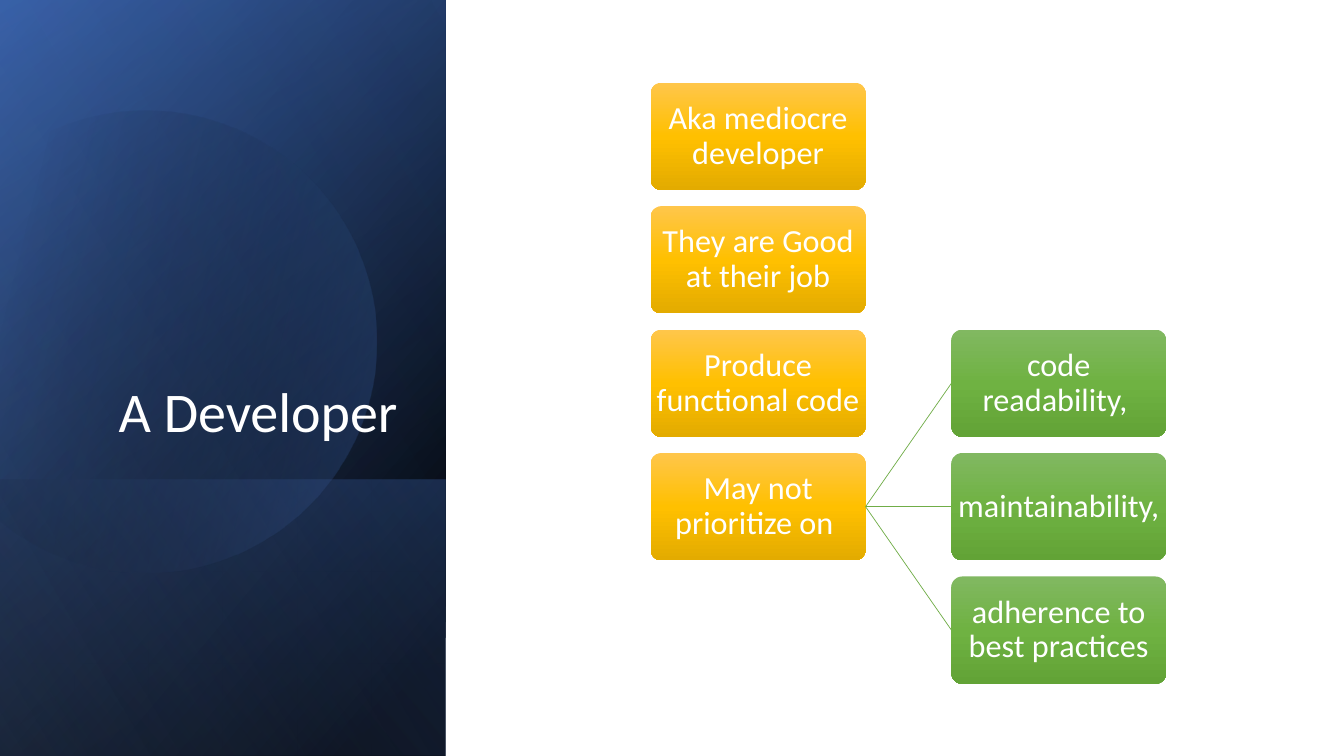
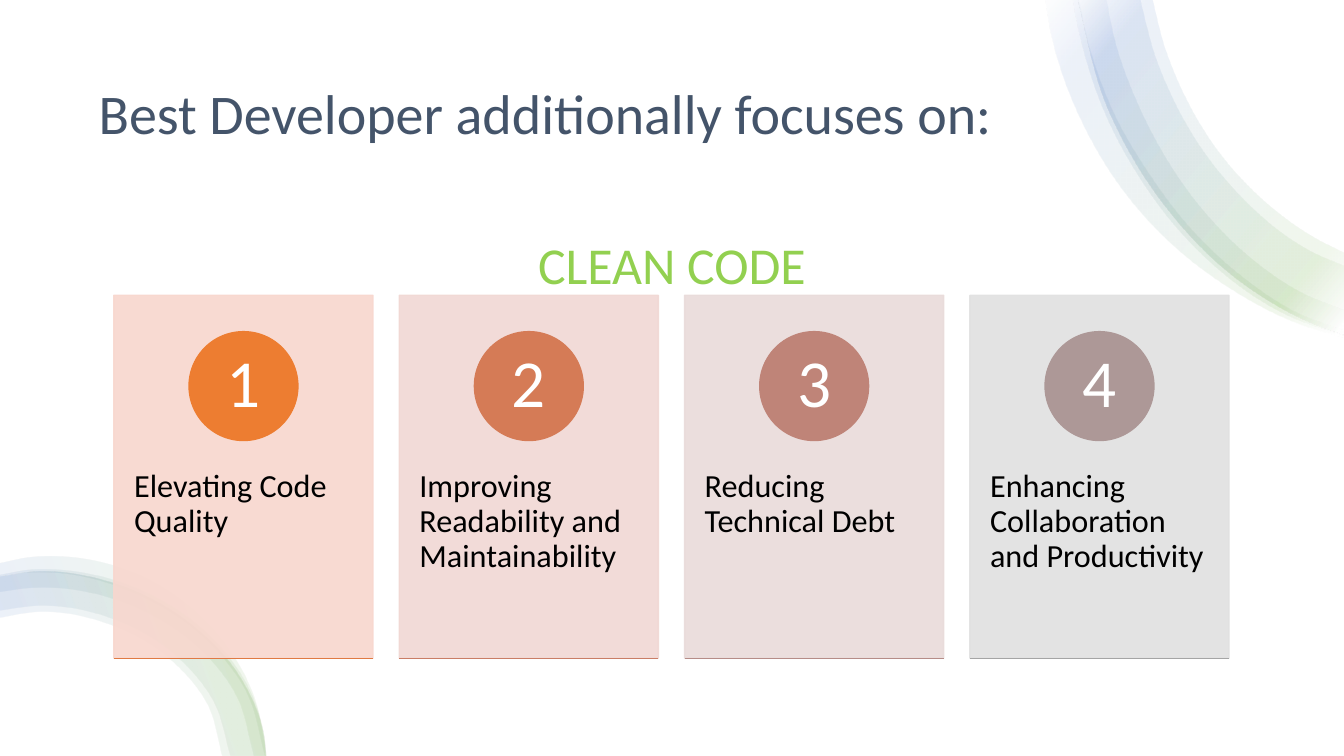
"""Build two slides on what sets developers apart."""
from math import dist
from lxml.etree import SubElement
from pptx import Presentation
from pptx.dml.color import RGBColor
from pptx.enum.shapes import MSO_CONNECTOR, MSO_SHAPE
from pptx.enum.text import MSO_ANCHOR, PP_ALIGN
from pptx.oxml.ns import qn
from pptx.util import Inches, Pt

FONT = "Calibri"
WHITE = RGBColor(0xFF, 0xFF, 0xFF)
BLACK = RGBColor(0x00, 0x00, 0x00)
NAVY = RGBColor(0x2F, 0x55, 0x97)
BLUE = RGBColor(0x44, 0x72, 0xC4)
SKY = RGBColor(0x8F, 0xAA, 0xDC)
GREEN = RGBColor(0x70, 0xAD, 0x47)
LIME = RGBColor(0x92, 0xD0, 0x50)
SLATE = RGBColor(0x44, 0x54, 0x6A)

GOLD_FADE = [(0, RGBColor(0xFF, 0xC6, 0x4B), 100),
             (50, RGBColor(0xFF, 0xC0, 0x00), 100),
             (100, RGBColor(0xE3, 0xAB, 0x00), 100)]
LEAF_FADE = [(0, RGBColor(0x81, 0xB8, 0x61), 100),
             (50, RGBColor(0x6F, 0xB2, 0x42), 100),
             (100, RGBColor(0x62, 0xA3, 0x36), 100)]
BAND_FADE = [(2, WHITE, 10), (16, GREEN, 10), (85, BLUE, 10), (100, WHITE, 10)]

STEPS = ["Aka mediocre developer", "They are Good at their job",
         "Produce functional code", "May not prioritize on "]
GOALS = ["code readability, ", "maintainability, ", "adherence to best practices"]
WIDE = 2.13
HIGH = WIDE / 2
PITCH = HIGH * 1.15

CARDS = [
    ("Elevating Code Quality", RGBColor(0xF8, 0xD7, 0xCE),
     RGBColor(0xED, 0x7D, 0x31), RGBColor(0xE0, 0x7A, 0x44)),
    ("Improving Readability and Maintainability", RGBColor(0xF1, 0xD8, 0xD4),
     RGBColor(0xD5, 0x7B, 0x56), RGBColor(0xCA, 0x7E, 0x67)),
    ("Reducing Technical Debt", RGBColor(0xE9, 0xDB, 0xDA),
     RGBColor(0xBF, 0x84, 0x78), RGBColor(0xB6, 0x8D, 0x88)),
    ("Enhancing Collaboration and Productivity", RGBColor(0xE1, 0xE1, 0xE1),
     RGBColor(0xAD, 0x98, 0x97), RGBColor(0xA5, 0xA5, 0xA5)),
]

TOP_RIM = [(10.67, -0.09), (10.99, 1.08), (11.52, 2), (12.24, 2.75),
           (13.09, 3.24), (13.33, 3.32)]
TOP_BANDS = [
    ([(10.36, -0.09), (10.41, 0.26), (10.78, 1.31), (11.16, 1.92), (11.65, 2.45),
      (12.21, 2.87), (12.82, 3.19), (13.33, 3.35)],
     [(13.33, 3.28), (12.86, 3.1), (12.3, 2.73), (11.81, 2.27), (11.4, 1.73),
      (11.06, 1.15), (10.82, 0.52), (10.68, -0.09)]),
    (TOP_RIM, [(13.33, 2.51), (13.07, 2.38), (12.19, 1.64), (11.58, 0.55),
               (11.41, -0.09)]),
    ([(10.63, -0.09), (10.68, 0.2), (10.99, 1.19), (11.32, 1.79), (11.73, 2.33),
      (12.79, 3.14), (13.33, 3.33)],
     [(13.33, 3.08), (12.9, 2.9), (12.39, 2.55), (11.95, 2.11), (11.29, 1.04),
      (11.07, 0.44), (10.96, -0.09)]),
    (TOP_RIM, [(13.33, 2.64), (13.01, 2.5), (12.1, 1.72), (11.47, 0.59),
               (11.29, -0.09)]),
]
LOW_RIM = [(2.63, 7.5), (2.62, 7.35), (2.36, 6.69), (1.85, 6.16), (1.17, 5.8),
           (0.4, 5.67), (0, 5.72)]
LOW_BANDS = [
    (LOW_RIM, [(0, 6.13), (0.4, 6.07), (1.07, 6.19), (1.66, 6.52), (2.06, 7),
               (2.2, 7.5)]),
    (LOW_RIM, [(0, 6.06), (0.4, 6.01), (1.09, 6.13), (1.7, 6.47), (2.12, 6.97),
               (2.28, 7.5)]),
    ([(2.63, 7.5), (2.59, 7.19), (2.47, 6.85), (2.03, 6.27), (1.42, 5.87),
      (0.69, 5.67), (0.31, 5.66), (0, 5.71)],
     [(0, 5.88), (0.33, 5.84), (0.67, 5.85), (1.34, 6.03), (1.92, 6.39),
      (2.34, 6.91), (2.51, 7.5)]),
    ([(2.64, 7.5), (2.5, 6.87), (2.1, 6.23), (1.48, 5.75), (0.71, 5.53),
      (0.31, 5.53), (0, 5.59)],
     [(0, 5.72), (0.32, 5.68), (0.69, 5.7), (1.39, 5.91), (2, 6.31),
      (2.45, 6.89), (2.62, 7.5)]),
]


def write(shape, text, size=23, color=WHITE, align=PP_ALIGN.CENTER,
          anchor=MSO_ANCHOR.MIDDLE, pad=(0.1, 0.05, 0.1, 0.05), space=0.9):
    """Put one formatted paragraph into a shape."""
    frame = shape.text_frame
    frame.word_wrap = True
    frame.vertical_anchor = anchor
    (frame.margin_left, frame.margin_top,
     frame.margin_right, frame.margin_bottom) = map(Inches, pad)
    para = frame.paragraphs[0]
    para.alignment = align
    para.line_spacing = space
    run = para.add_run()
    run.text = text
    run.font.name = FONT
    run.font.size = Pt(size)
    run.font.color.rgb = color


def label(slide, box, text, **style):
    """Add a text box."""
    write(slide.shapes.add_textbox(*map(Inches, box)), text, **style)


def title(slide, box, text, **style):
    """Add a slide title."""
    label(slide, box, text, size=40, **style)


def fade(shape, stops, angle):
    """Fill a shape with a clockwise linear gradient, without an outline."""
    shape.shadow.inherit = False
    shape.line.fill.background()
    shape.fill.gradient()
    shape.fill.gradient_angle = (360 - angle) % 360
    group = shape._element.spPr.find(qn("a:gradFill")).find(qn("a:gsLst"))
    for old in list(group):
        group.remove(old)
    for place, color, alpha in stops:
        stop = SubElement(group, qn("a:gs"), pos=str(place * 1000))
        tint = SubElement(stop, qn("a:srgbClr"), val=str(color))
        if alpha < 100:
            SubElement(tint, qn("a:alpha"), val=str(alpha * 1000))


def paint(shape, color, alpha=100):
    """Give fill and outline one colour."""
    shape.shadow.inherit = False
    shape.fill.solid()
    shape.fill.fore_color.rgb = color
    shape.line.color.rgb = color
    shape.line.width = Pt(1)
    if alpha < 100:
        for tint in shape._element.spPr.iter(qn("a:srgbClr")):
            SubElement(tint, qn("a:alpha"), val=str(alpha * 1000))


def form(slide, kind, box):
    """Add a preset shape."""
    return slide.shapes.add_shape(kind, *map(Inches, box))


def rule(slide, start, end, color, width):
    """Draw a straight line."""
    line = slide.shapes.add_connector(
        MSO_CONNECTOR.STRAIGHT, *map(Inches, start + end))
    line.line.color.rgb = color
    line.line.width = Pt(width)
    SubElement(line._element.spPr, qn("a:effectLst"))
    return line


def slopes(knots):
    """Return the tangent of a smooth curve at each knot."""
    spans = [dist(a, b) for a, b in zip(knots, knots[1:])]
    rates = [[(q - p) / span for p, q in zip(a, b)]
             for a, b, span in zip(knots, knots[1:], spans)]
    inner = [[(p * t + q * s) / (s + t) for p, q in zip(a, b)]
             for a, b, s, t in zip(rates, rates[1:], spans, spans[1:])]
    return [rates[0], *inner, rates[-1]]


def bend(shape, sizes):
    """Turn runs of straight segments into smooth cubic ones."""
    marks = list(shape._element.spPr.iter(qn("a:pt")))
    spots = [(int(mark.get("x")), int(mark.get("y"))) for mark in marks]
    start = 0
    for size in sizes:
        knots = spots[start:start + size]
        leans = slopes(knots)
        for i in range(1, size):
            a, b = knots[i - 1:i + 1]
            reach = dist(a, b) / 3
            grips = [[p + m * reach for p, m in zip(a, leans[i - 1])],
                     [p - m * reach for p, m in zip(b, leans[i])], b]
            old = marks[start + i].getparent()
            cubic = old.makeelement(qn("a:cubicBezTo"))
            for x, y in grips:
                SubElement(cubic, qn("a:pt"), x=str(round(x)), y=str(round(y)))
            old.getparent().replace(old, cubic)
        start += size


def bands(slide, edges, angle):
    """Draw overlapping sheer bands, each between two curved edges."""
    for rim, core in edges:
        points = [tuple(map(Inches, spot)) for spot in rim + core]
        pen = slide.shapes.build_freeform(*points[0])
        pen.add_line_segments(points[1:])
        shape = pen.convert_to_shape()
        bend(shape, (len(rim), len(core)))
        fade(shape, BAND_FADE, angle)


def panel(slide, box):
    """Draw the dark side panel with its disc."""
    left, top, width, height = box
    foot = 2.74
    disc = 4.58
    base = (left, top + height - foot, width, foot)
    ring = (left - 0.85, top + 1.1, disc, disc)
    rect, oval = MSO_SHAPE.RECTANGLE, MSO_SHAPE.OVAL
    layers = [
        (rect, box, [(8, BLACK, 100), (100, NAVY, 100)], 220, 0),
        (rect, box, [(0, BLACK, 0), (99, BLUE, 46)], 240, 0),
        (rect, base, [(2, BLUE, 29), (100, BLACK, 30)], 140, 0),
        (oval, ring, [(29, BLACK, 0), (100, BLUE, 43)], 30, 343.9),
        (rect, box, [(0, BLACK, 0), (99, SKY, 11)], 150, 0),
    ]
    for kind, area, stops, angle, turn in layers:
        shape = form(slide, kind, area)
        fade(shape, stops, angle)
        shape.rotation = turn


def stack(slide, left, top, texts, stops):
    """Stack rounded boxes downward and return them."""
    boxes = []
    for row, text in enumerate(texts):
        shape = form(slide, MSO_SHAPE.ROUNDED_RECTANGLE,
                     (left, top + row * PITCH, WIDE, HIGH))
        shape.adjustments[0] = 0.1
        fade(shape, stops, 90)
        write(shape, text, pad=(0.02,) * 4)
        boxes.append(shape)
    return boxes


def tree(slide, left, top):
    """Draw the steps and the goals that branch from the last one."""
    steps = stack(slide, left, top, STEPS, GOLD_FADE)
    goals = stack(slide, left + WIDE * 1.4, top + 2 * PITCH, GOALS, LEAF_FADE)
    for goal in goals:
        line = rule(slide, (0, 0), (1, 1), GREEN, 0.5)
        line.begin_connect(steps[-1], 3)
        line.end_connect(goal, 1)


def card(slide, box, number, item):
    """Draw a numbered card."""
    left, top, width, height = box
    text, back, dot, edge = item
    size = 1.08
    shape = form(slide, MSO_SHAPE.RECTANGLE, box)
    paint(shape, back, 90)
    write(shape, text, color=BLACK, align=PP_ALIGN.LEFT, anchor=MSO_ANCHOR.TOP,
          pad=(0.2, 1.73, 0.2, 0.36))
    badge = form(slide, MSO_SHAPE.OVAL,
                 (left + (width - size) / 2, top + 0.36, size, size))
    paint(badge, dot)
    write(badge, str(number), size=48, pad=(0.08, 0.01, 0.08, 0.01))
    base = top + height
    rule(slide, (left, base), (left + width, base), edge, 1)


def first(slide):
    """Fill the slide about a developer."""
    panel(slide, (0, 0, 4.42, 7.5))
    title(slide, (0.63, 1.84, 3.41, 2.62), "A Developer",
          align=PP_ALIGN.RIGHT, anchor=MSO_ANCHOR.BOTTOM)
    tree(slide, 6.455, 0.82)


def second(slide):
    """Fill the slide about the best developer."""
    paint(form(slide, MSO_SHAPE.RECTANGLE, (0, 0, 13.33, 7.5)), WHITE)
    title(slide, (0.88, 0.5, 11.57, 1.3), "Best Developer additionally focuses on:",
          color=SLATE, align=PP_ALIGN.LEFT)
    bands(slide, TOP_BANDS, 220)
    bands(slide, LOW_BANDS, 160)
    for index, item in enumerate(CARDS):
        card(slide, (1.13 + index * 2.83, 2.93, 2.57, 3.6), index + 1, item)
    label(slide, (0.88, 2.4, 11.57, 0.58), "CLEAN CODE", size=37, color=LIME, space=0.7)


def main():
    """Build and save the deck."""
    deck = Presentation()
    deck.slide_width = Inches(13.33)
    deck.slide_height = Inches(7.5)
    for fill in (first, second):
        fill(deck.slides.add_slide(deck.slide_layouts[6]))
    deck.save("out.pptx")


if __name__ == "__main__":
    main()
